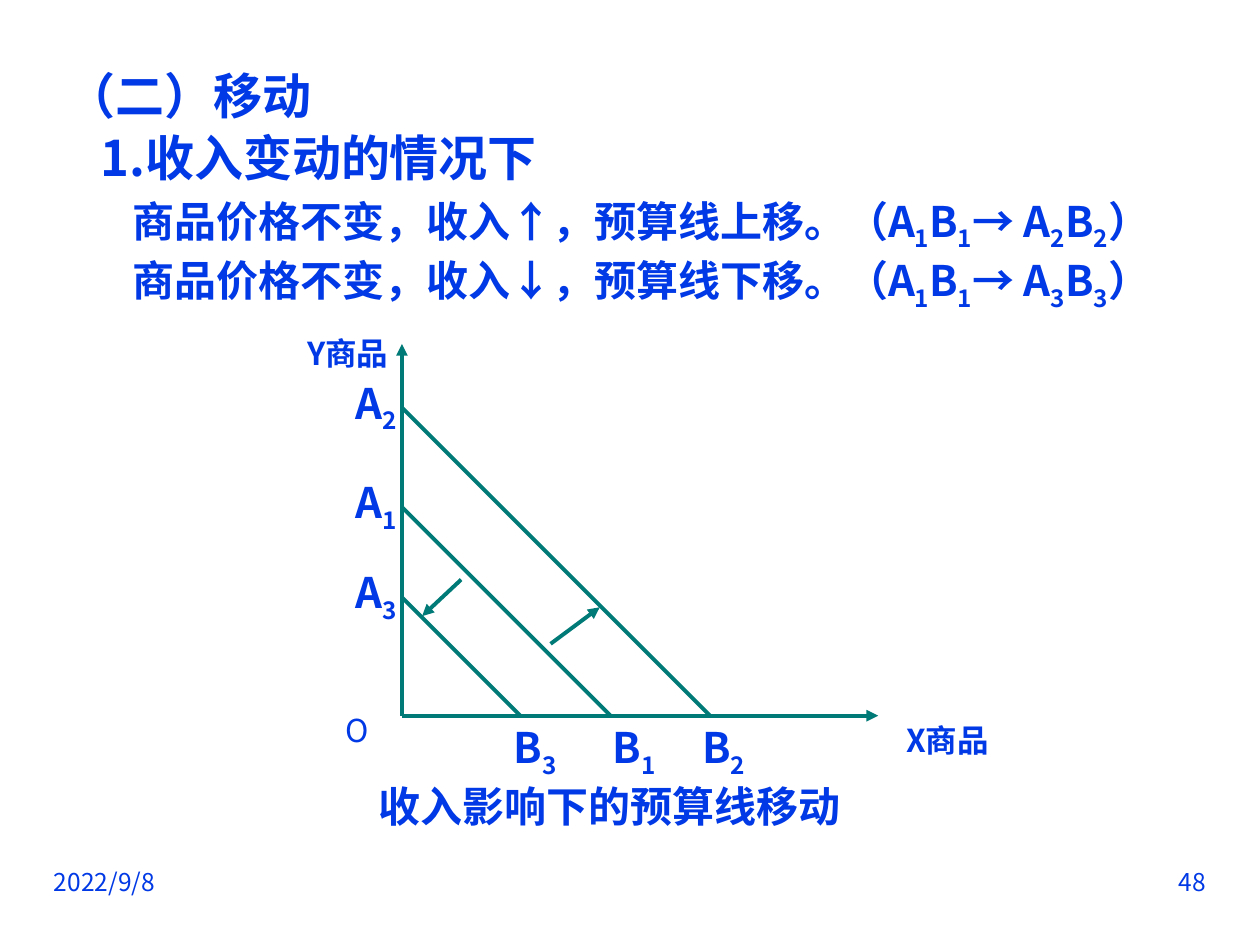
from lxml.etree import SubElement
from pptx import Presentation
from pptx.dml.color import RGBColor
from pptx.enum.shapes import MSO_CONNECTOR
from pptx.enum.text import MSO_ANCHOR, PP_ALIGN
from pptx.oxml.ns import qn
from pptx.util import Inches, Pt

CELL = Inches(0.1)
COLUMNS, ROWS = 100, 75
BLUE = RGBColor(0x00, 0x39, 0xE5)
TEAL = RGBColor(0x00, 0x7A, 0x77)
FONT = "Noto Sans CJK SC"


def cells(*counts):
    """Turn counts of grid cells into lengths."""
    return [round(count * CELL) for count in counts]


def write(paragraph, wording, size, bold=True, align=PP_ALIGN.LEFT, before=0, indent=0):
    """Fill a paragraph; every second part between underscores is a subscript."""
    paragraph.alignment = align
    properties = paragraph._p.get_or_add_pPr()
    properties.set("marL", str(cells(indent)[0]))
    properties.set("indent", "0")
    if before:
        paragraph.line_spacing = 0.9
        spacing = SubElement(properties, qn("a:spcBef"))
        SubElement(spacing, qn("a:spcPct"), val=str(before * 1000))
    for position, part in enumerate(wording.split("_")):
        run = paragraph.add_run()
        run.text = part
        run.font.name, run.font.size, run.font.bold = FONT, Pt(size), bold
        run.font.color.rgb = BLUE
        SubElement(run.font._element, qn("a:ea"), typeface=FONT)
        if position % 2:
            run.font._element.set("baseline", "-25000")


def add_frame(slide, box, anchor=MSO_ANCHOR.TOP, wrap=True):
    """Add an empty text box and return its text frame."""
    frame = slide.shapes.add_textbox(*cells(*box)).text_frame
    frame.word_wrap, frame.vertical_anchor = wrap, anchor
    return frame


def add_line(slide, start, end, arrow=False):
    """Draw a straight teal line, with an arrowhead at its end if asked."""
    line = slide.shapes.add_connector(MSO_CONNECTOR.STRAIGHT, *cells(*start, *end))
    line.line.color.rgb, line.line.width = TEAL, Pt(2.25)
    if arrow:
        SubElement(line.line._get_or_add_ln(), qn("a:tailEnd"), type="triangle")
    SubElement(line._element.spPr, qn("a:effectLst"))


def add_explanation(slide, box):
    """Write the heading and the two cases of an income change."""
    lines = [("（二）移动", 28, 0), ("1.收入变动的情况下", 28, 2.7)]
    lines += [
        (f"商品价格不变，收入{arrow}，预算线{way}移。（A_1_B_1_→ A_{new}_B_{new}_）", 24, 5.2)
        for arrow, way, new in (("↑", "上", 2), ("↓", "下", 3))
    ]
    frame = add_frame(slide, box)
    for index, (wording, size, indent) in enumerate(lines):
        paragraph = frame.add_paragraph() if index else frame.paragraphs[0]
        write(paragraph, wording, size, before=20, indent=indent)


def add_budget_diagram(slide, box):
    """Draw the axes, the three 45-degree budget lines and the shift arrows."""
    left, top, width, height = box
    bottom = top + height
    origin = (left, bottom)
    add_line(slide, origin, (left + width, bottom), arrow=True)
    add_line(slide, origin, (left, top), arrow=True)
    for number, income, offset in ((3, 9.4, 1.5), (1, 16.55, 0.8), (2, 24.45, 1.6)):
        add_line(slide, (left, bottom - income), (left + income, bottom))
        labels = (
            (f"A_{number}", left - 4.7, bottom - income - 2.9),
            (f"B_{number}", left + income - offset, bottom),
        )
        for wording, x, y in labels:
            write(add_frame(slide, (x, y, 7.9, 5)).paragraphs[0], wording, 24)
    for start, end in (((11.8, 5.7), (15.7, 8.6)), ((4.7, 10.8), (1.6, 7.9))):
        ends = [(left + x, bottom - y) for x, y in (start, end)]
        add_line(slide, *ends, arrow=True)
    names = (
        ("O", -6.3, -1.2, 5.5, False),
        ("Y商品", -11.8, -31.1, 15, True),
        ("X商品", 37, -0.4, 12.6, True),
    )
    for wording, x, y, span, bold in names:
        frame = add_frame(slide, (left + x, bottom + y, span, 4.7), MSO_ANCHOR.MIDDLE, False)
        write(frame.paragraphs[0], wording, 18, bold, PP_ALIGN.CENTER)


def add_caption(slide, box):
    """Write the caption of the diagram."""
    caption = add_frame(slide, box).paragraphs[0]
    write(caption, "收入影响下的预算线移动", 24, align=PP_ALIGN.CENTER, before=20)


def add_footer(slide, box):
    """Write the date at the left and the page number at the right."""
    left, top, width, height = box
    span = 25
    for wording, x, align in (
        ("2022/9/8", left, PP_ALIGN.LEFT),
        ("48", left + width - span, PP_ALIGN.RIGHT),
    ):
        frame = add_frame(slide, (x, top, span, height))
        write(frame.paragraphs[0], wording, 14, False, align)


def main():
    """Build and save the slide."""
    presentation = Presentation()
    presentation.slide_width, presentation.slide_height = cells(COLUMNS, ROWS)
    slide = presentation.slides.add_slide(presentation.slide_layouts[6])
    add_footer(slide, (3.3, 68.3, COLUMNS - 6.6, 5.2))
    add_explanation(slide, (4.3, 5.2, 93.3, 22))
    add_budget_diagram(slide, (31.9, 27.3, 37.8, 29.5))
    add_caption(slide, (24.8, 61.9, 47.2, 7.3))
    presentation.save("out.pptx")


if __name__ == "__main__":
    main()
